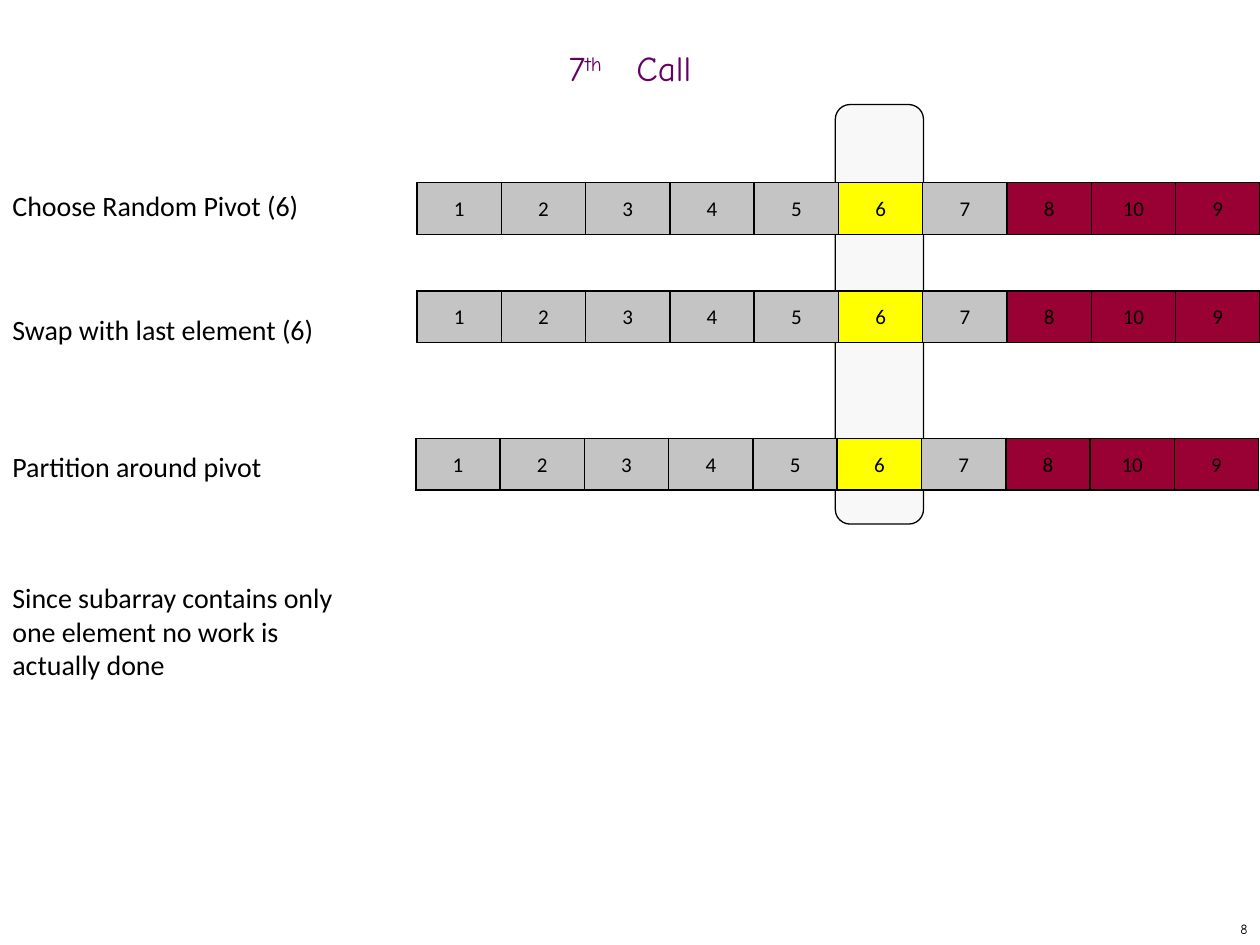
from lxml.etree import SubElement
from pptx import Presentation
from pptx.dml.color import RGBColor
from pptx.enum.shapes import MSO_SHAPE
from pptx.enum.text import MSO_ANCHOR, PP_ALIGN
from pptx.oxml.ns import qn
from pptx.util import Inches, Pt

BLACK, GRAY, YELLOW, RED = "000000", "C4C4C4", "FFFF00", "990033"
VALUES = [1, 2, 3, 4, 5, 6, 7, 8, 10, 9]
PIVOT = 6
CELL_WIDTH, CELL_HEIGHT = 0.67, 0.41
CELL_PITCH = 6.02 / 9
ARRAY_ROWS = [(3.31, 1.45), (3.31, 2.31), (3.3, 3.48)]
LABELS = [
    ("Choose Random Pivot (6)", 1.45, 2.62, 0.37),
    ("Swap with last element (6)", 2.43, 2.62, 0.37),
    ("Partition around pivot", 3.52, 2.62, 0.37),
    ("Since subarray contains only one element no work is actually done", 4.56, 2.96, 0.91),
]


def rgb(color):
    return RGBColor.from_string(color)


def set_font(paragraph, name, size, color=BLACK):
    paragraph.font.name = name
    paragraph.font.size = Pt(size)
    paragraph.font.color.rgb = rgb(color)


def add_text(slide, text, left, top, width, height, name, size, color=BLACK,
             alignment=PP_ALIGN.LEFT, anchor=MSO_ANCHOR.TOP):
    shape = slide.shapes.add_textbox(Inches(left), Inches(top), Inches(width), Inches(height))
    shape.text_frame.word_wrap = True
    shape.text_frame.vertical_anchor = anchor
    paragraph = shape.text_frame.paragraphs[0]
    paragraph.text = text
    paragraph.alignment = alignment
    set_font(paragraph, name, size, color)
    return paragraph


def add_title(slide):
    paragraph = add_text(slide, "7", 0, 0.33, 10, 0.5, "Comic Neue", 20, "660066",
                         PP_ALIGN.CENTER, MSO_ANCHOR.MIDDLE)
    paragraph.line_spacing = 0.7
    for text, attribute, value in [("th", "baseline", "30000"), (" ", "spc", "1300"),
                                   ("Call", "baseline", "0")]:
        run = paragraph.add_run()
        run.text = text
        run._r.get_or_add_rPr().set(attribute, value)


def add_pivot_column(slide):
    shape = slide.shapes.add_shape(MSO_SHAPE.ROUNDED_RECTANGLE, Inches(6.63), Inches(0.83),
                                   Inches(0.7), Inches(3.33))
    shape.shadow.inherit = False
    shape.fill.solid()
    shape.fill.fore_color.rgb = rgb("C0C0C0")
    fill_color = shape._element.spPr.find(qn("a:solidFill"))[0]
    SubElement(fill_color, qn("a:alpha"), val="10000")
    shape.line.color.rgb = rgb(BLACK)
    shape.line.width = Pt(0.75)


def add_borders(cell):
    properties = cell._tc.get_or_add_tcPr()
    for position, side in enumerate(["lnL", "lnR", "lnT", "lnB"]):
        border = properties.makeelement(qn(f"a:{side}"), {"w": str(Pt(1))})
        fill = SubElement(border, qn("a:solidFill"))
        SubElement(fill, qn("a:srgbClr"), val=BLACK)
        properties.insert(position, border)


def cell_color(value):
    if value == PIVOT:
        return YELLOW
    return RED if value > 7 else GRAY


def add_array_cell(slide, value, left, top):
    table = slide.shapes.add_table(1, 1, Inches(left), Inches(top),
                                   Inches(CELL_WIDTH), Inches(CELL_HEIGHT)).table
    table.first_row = table.horz_banding = False
    cell = table.cell(0, 0)
    cell.margin_left = cell.margin_right = cell.margin_top = Inches(0.01)
    cell.margin_bottom = 0
    cell.vertical_anchor = MSO_ANCHOR.MIDDLE
    cell.fill.solid()
    cell.fill.fore_color.rgb = rgb(cell_color(value))
    add_borders(cell)
    paragraph = cell.text_frame.paragraphs[0]
    paragraph.text = str(value)
    paragraph.alignment = PP_ALIGN.CENTER
    set_font(paragraph, "Calibri", 12)


def main():
    presentation = Presentation()
    presentation.slide_width, presentation.slide_height = Inches(10), Inches(7.5)
    slide = presentation.slides.add_slide(presentation.slide_layouts[6])

    add_text(slide, "8", 7.92, 7.25, 2.08, 0.25, "Comic Neue", 8,
             alignment=PP_ALIGN.RIGHT, anchor=MSO_ANCHOR.MIDDLE)
    add_title(slide)
    for text, top, width, height in LABELS:
        add_text(slide, text, 0, top, width, height, "Calibri", 16)
    add_pivot_column(slide)
    for left, top in ARRAY_ROWS:
        for index, value in enumerate(VALUES):
            add_array_cell(slide, value, left + index * CELL_PITCH, top)

    presentation.save("out.pptx")


if __name__ == "__main__":
    main()
